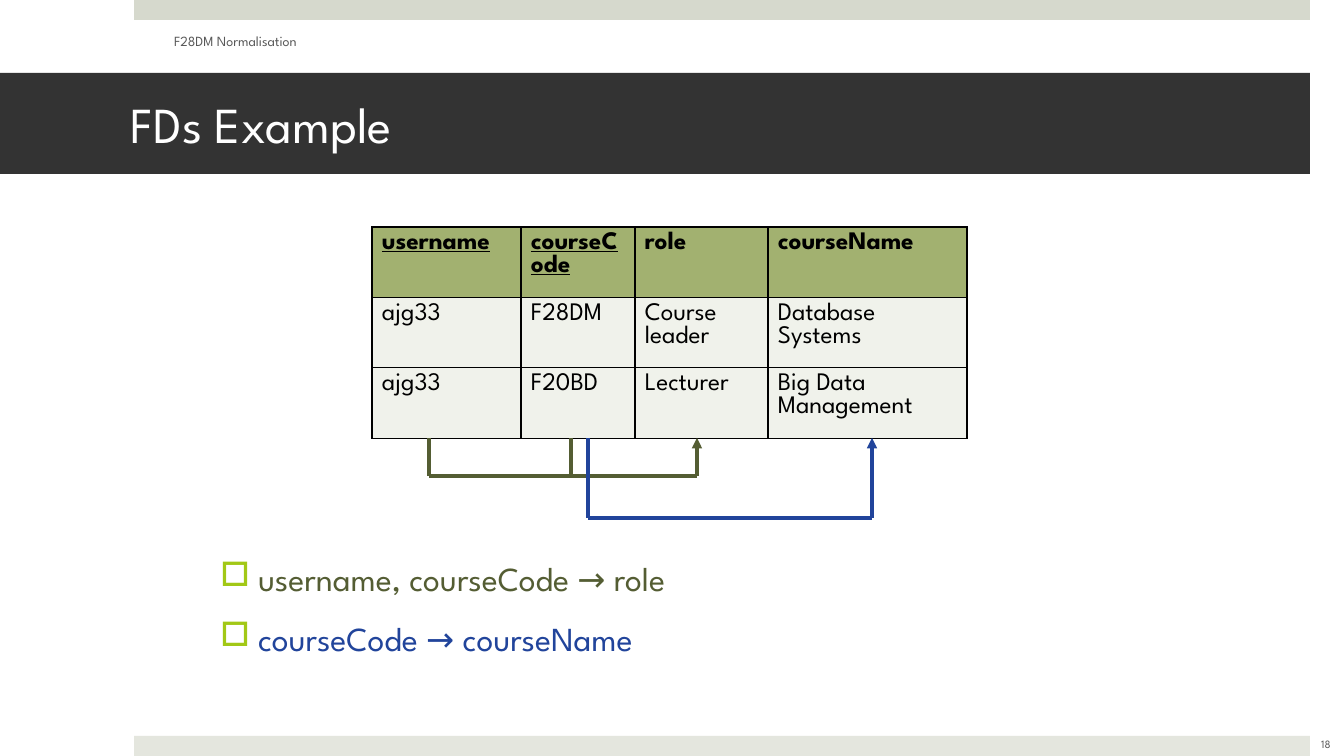
from lxml import etree
from pptx import Presentation, util as u
from pptx.dml.color import RGBColor
from pptx.enum import shapes, text
from pptx.oxml import ns

PIXEL = 914400 / 100.8
FONT = "League Spartan"
COLORS = {
    "top": "D6D9CD", "bottom": "E4E6DE", "banner": "333333", "white": "FFFFFF",
    "small": "595959", "black": "000000", "header": "A2B170", "cell": "F0F2EB",
    "olive": "545D33", "blue": "21449B", "bullet": "A2C816",
}


def px(value):
    return u.Emu(round(value * PIXEL))


def color(name):
    return RGBColor.from_string(COLORS[name])


def add_xml(parent, tag, **attributes):
    return etree.SubElement(parent, ns.qn(tag), attributes)


def add_span(para, words, tint, **formats):
    span = para.add_run()
    span.text = words
    span.font.color.rgb = color(tint)
    for name, value in {"name": FONT, **formats}.items():
        setattr(span.font, name, value)


def set_frame(frame, left=10, right=10, anchor=text.MSO_ANCHOR.MIDDLE):
    formats = {"word_wrap": True, "vertical_anchor": anchor,
               "margin_left": px(left), "margin_right": px(right),
               "margin_top": px(5), "margin_bottom": px(5)}
    for name, value in formats.items():
        setattr(frame, name, value)
    return frame


def add_bar(page, box, fill):
    bar = page.shapes.add_shape(shapes.MSO_SHAPE.RECTANGLE, *map(px, box))
    bar.shadow.inherit = False
    bar.fill.solid()
    bar.fill.fore_color.rgb = color(fill)
    bar.line.fill.background()
    return bar


def add_title(page, box, words):
    frame = set_frame(add_bar(page, box, "banner").text_frame, 131, 30)
    para = frame.paragraphs[0]
    para.alignment = text.PP_ALIGN.LEFT
    add_span(para, words, "white", size=u.Pt(36))


def add_label(page, box, words, size, align):
    frame = set_frame(page.shapes.add_textbox(*map(px, box)).text_frame)
    para = frame.paragraphs[0]
    para.alignment = align
    add_span(para, words, "small", size=u.Pt(size))


def add_borders(cell):
    properties = cell._tc.get_or_add_tcPr()
    for index, side in enumerate("LRTB"):
        line = etree.Element(ns.qn(f"a:ln{side}"), w=str(u.Pt(1)))
        fill = add_xml(line, "a:solidFill")
        add_xml(fill, "a:srgbClr", val=COLORS["black"])
        properties.insert(index, line)  # borders come before the fill


def add_relation(page, box, widths, keys, rows):
    table = page.shapes.add_table(len(rows), len(widths), *map(px, box)).table
    for column, width in zip(table.columns, widths):
        column.width = px(width)
    for r, values in enumerate(rows):
        table.rows[r].height = px(box[3] / len(rows))
        for c, value in enumerate(values):
            cell, header = table.cell(r, c), r == 0
            cell.fill.solid()
            cell.fill.fore_color.rgb = color("header" if header else "cell")
            for side in ("left", "right"):
                setattr(cell, f"margin_{side}", px(10))
            for side in ("top", "bottom"):
                setattr(cell, f"margin_{side}", px(5))
            add_span(cell.text_frame.paragraphs[0], value, "black", size=u.Pt(18),
                     bold=header, underline=header and value in keys)
            add_borders(cell)


def add_line(page, start, end, tint, arrow=False):
    line = page.shapes.add_connector(
        shapes.MSO_CONNECTOR.STRAIGHT, *map(px, start + end))
    line.line.width = u.Pt(2.5)
    line.line.color.rgb = color(tint)
    if arrow:
        add_xml(line.line._get_or_add_ln(), "a:headEnd", type="triangle")
    add_xml(line._element.spPr, "a:effectLst")


def add_dependency(page, box, stems, tint):
    """Bracket from the determining columns to the arrow at the right edge."""
    left, top, width, height = box
    right, base = left + width, top + height
    for stem in stems:
        add_line(page, (left + stem, top), (left + stem, base), tint)
    add_line(page, (right, top), (right, base), tint, arrow=True)
    add_line(page, (left, base), (right, base), tint)


def add_bullets(page, box, items):
    frame = set_frame(page.shapes.add_textbox(*map(px, box)).text_frame,
                      anchor=text.MSO_ANCHOR.TOP)
    for index, (words, tint) in enumerate(items):
        para = frame.add_paragraph() if index else frame.paragraphs[0]
        para.space_before = u.Pt(14)
        properties = para._p.get_or_add_pPr()
        properties.set("marL", str(px(38)))
        properties.set("indent", str(-px(38)))
        tone = add_xml(properties, "a:buClr")
        add_xml(tone, "a:srgbClr", val=COLORS["bullet"])
        add_xml(properties, "a:buChar", char="□")
        add_span(para, words, tint, size=u.Pt(24))


def build_page(page):
    # Frame of the slide
    add_bar(page, (134, 0, 1176, 20), "top")
    add_bar(page, (134, 736, 1176, 20), "bottom")
    add_title(page, (0, 73, 1310, 101), "FDs Example")
    add_label(page, (164, 21, 425, 40), "F28DM Normalisation", 10, text.PP_ALIGN.LEFT)
    add_label(page, (1292, 724, 68, 40), "18", 8, text.PP_ALIGN.CENTER)

    # Relation with its key columns underlined
    add_relation(page, (372, 227, 595, 168), (149, 114, 133, 199),
                 ("username", "courseCode"), (
        ("username", "courseCode", "role", "courseName"),
        ("ajg33", "F28DM", "Course leader", "Database Systems"),
        ("ajg33", "F20BD", "Lecturer", "Big Data Management"),
    ))

    # Functional dependencies, drawn and written
    add_dependency(page, (429, 438, 268, 38), (0, 142), "olive")
    add_dependency(page, (588, 438, 284, 80), (0,), "blue")
    add_bullets(page, (210, 553, 920, 170), (
        ("username, courseCode → role", "olive"),
        ("courseCode → courseName", "blue"),
    ))


deck = Presentation()
deck.slide_width, deck.slide_height = px(1344), px(756)
build_page(deck.slides.add_slide(deck.slide_layouts[6]))
deck.save("out.pptx")
